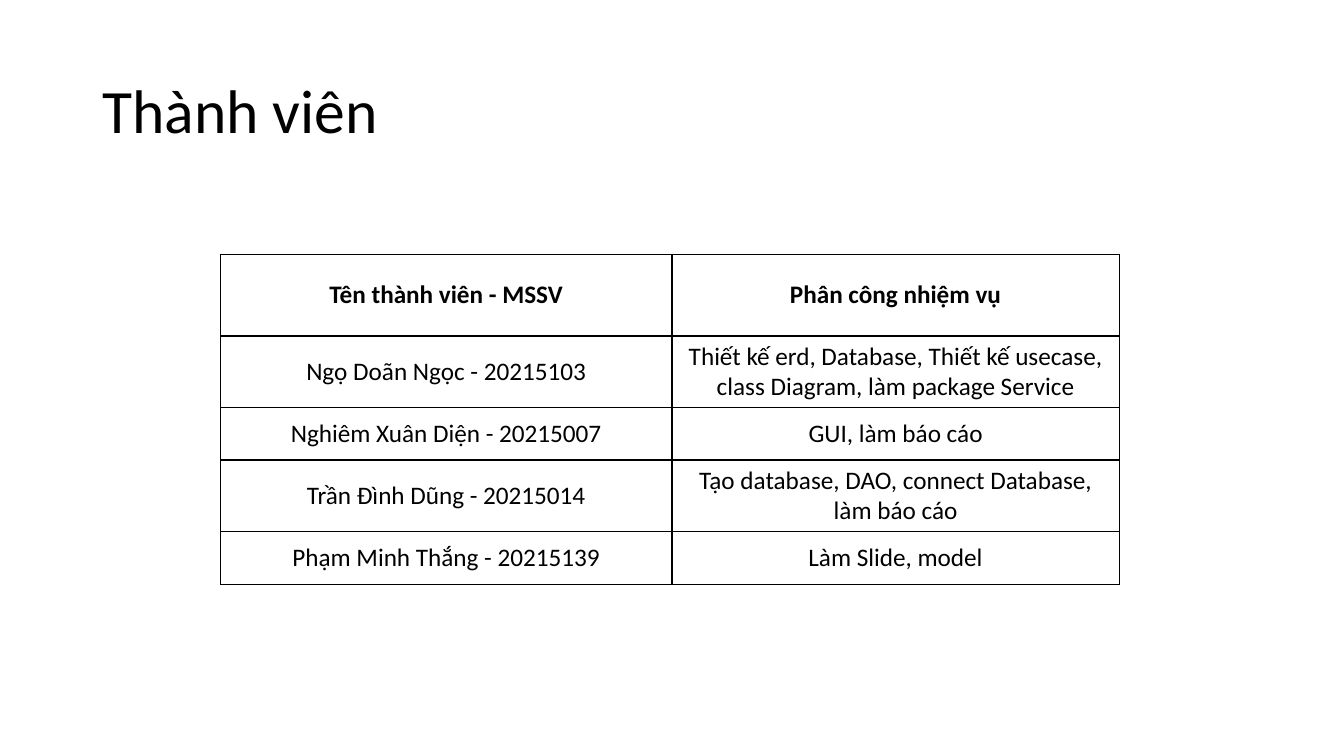
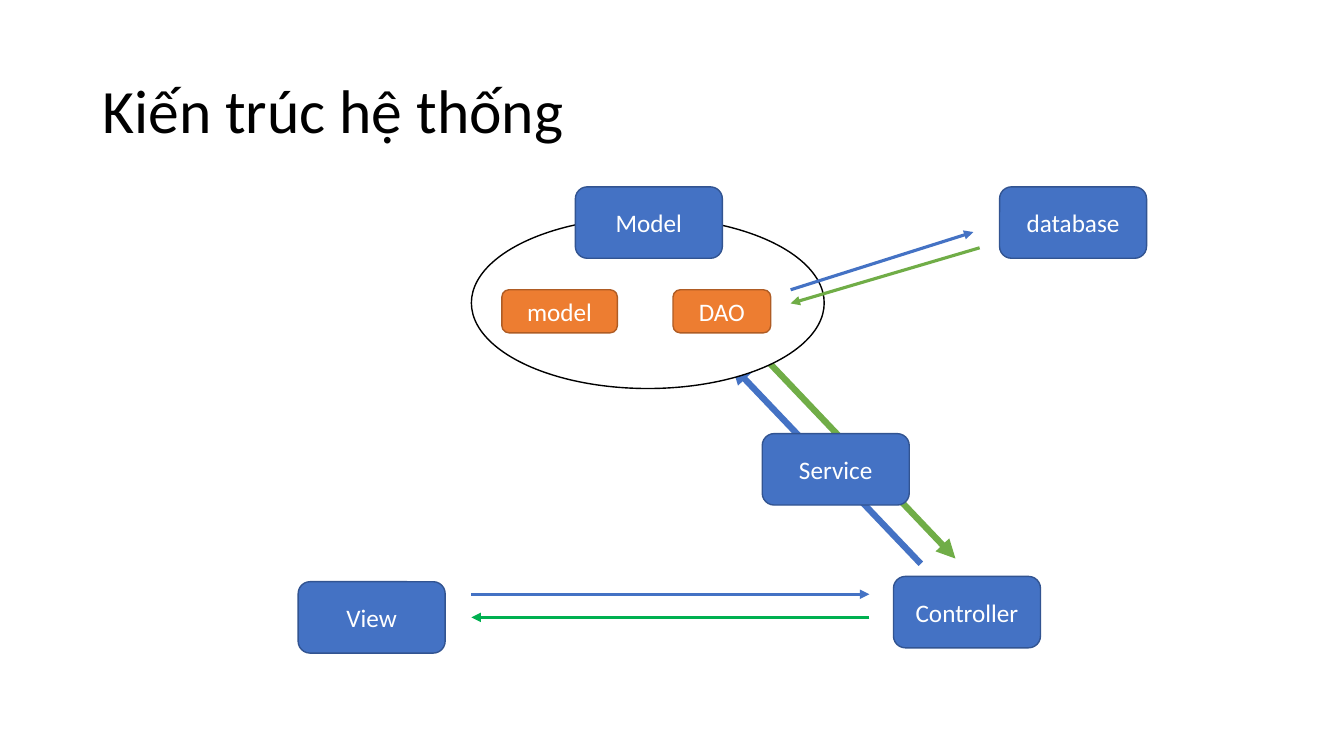
from dataclasses import dataclass

from lxml.etree import SubElement
from pptx import Presentation
from pptx.dml.color import RGBColor
from pptx.enum.shapes import MSO_CONNECTOR, MSO_SHAPE
from pptx.enum.text import MSO_ANCHOR, MSO_AUTO_SIZE, PP_ALIGN
from pptx.oxml import parse_xml
from pptx.oxml.ns import nsdecls, qn
from pptx.util import Inches, Pt

WIDE, HIGH = Inches(13.333), Inches(7.5)
COLS = 64  # square grid: 64 columns by 36 rows


@dataclass(frozen=True)
class Theme:
    font: str = "Calibri"
    head: int = 44
    body: int = 18
    thin: float = 1
    mid: float = 2.25
    thick: float = 4.5
    black: str = "000000"
    white: str = "FFFFFF"
    blue: str = "4472C4"
    navy: str = "325491"
    orange: str = "ED7D31"
    rust: str = "AF5C24"
    green: str = "70AD47"
    leaf: str = "00B050"


T = Theme()
BLOCK = (7, 3.4)

TEAM = [
    ("Tên thành viên - MSSV", "Phân công nhiệm vụ"),
    ("Ngọ Doãn Ngọc - 20215103",
     "Thiết kế erd, Database, Thiết kế usecase, class Diagram, làm package Service"),
    ("Nghiêm Xuân Diện - 20215007", "GUI, làm báo cáo"),
    ("Trần Đình Dũng - 20215014", "Tạo database, DAO, connect Database, làm báo cáo"),
    ("Phạm Minh Thắng - 20215139", "Làm Slide, model"),
]
BLOCKS = [
    ("Model", 27.4, 8.9),
    ("database", 47.6, 8.9),
    ("Controller", 42.55, 27.45),
    ("View", 14.2, 27.7),
    ("Service", 36.3, 20.65),
]
PARTS = [("model", 23.9, 5.5), ("DAO", 32.05, 4.65)]
BACK = [
    ((43.85, 26.85), (34.85, 17.4), T.blue),
    ((35.8, 16.4), (45.5, 26.6), T.green),
]
FRONT = [
    ((37.65, 13.8), (46.35, 11.05), T.blue),
    ((46.65, 11.8), (37.65, 14.45), T.green),
    ((22.45, 28.3), (41.4, 28.3), T.blue),
    ((41.4, 29.4), (22.45, 29.4), T.leaf),
]


def grid(*units):
    return [round(u * WIDE / COLS) for u in units]


def rgb(code):
    return RGBColor.from_string(code)


def write(frame, text, size, color, align=PP_ALIGN.CENTER, bold=False):
    frame.text = text
    frame.word_wrap = True
    para = frame.paragraphs[0]
    para.alignment = align
    font = para.font
    font.name, font.size, font.bold = T.font, Pt(size), bold
    font.color.rgb = rgb(color)
    return para


def add_page(deck, title):
    page = deck.slides.add_slide(deck.slide_layouts[5])
    head = page.shapes.title
    head.left, head.top, head.width, head.height = grid(4.4, 1.92, 55.2, 6.96)
    frame = head.text_frame
    frame.auto_size = MSO_AUTO_SIZE.NONE
    frame.vertical_anchor = MSO_ANCHOR.MIDDLE
    write(frame, title, T.head, T.black, PP_ALIGN.LEFT).line_spacing = 0.9
    return page


def add_edges(cell):
    props = cell._tc.get_or_add_tcPr()
    for spot, side in enumerate("LRTB"):
        props.insert(spot, parse_xml(
            f'<a:ln{side} {nsdecls("a")} w="{Pt(T.thin)}"><a:solidFill>'
            f'<a:srgbClr val="{T.black}"/></a:solidFill></a:ln{side}>'))


def add_grid(page, rows, left, top, cols, tall):
    """Add a ruled table with a bold first row."""
    box = grid(left, top, sum(cols), sum(tall))
    table = page.shapes.add_table(len(rows), len(cols), *box).table
    table.horz_banding = False
    for col, width in zip(table.columns, grid(*cols)):
        col.width = width
    for row, height in zip(table.rows, grid(*tall)):
        row.height = height
    for r, row in enumerate(rows):
        for c, text in enumerate(row):
            cell = table.cell(r, c)
            cell.fill.background()
            cell.vertical_anchor = MSO_ANCHOR.MIDDLE
            write(cell.text_frame, text, T.body, T.black, bold=r == 0)
            add_edges(cell)


def add_form(page, kind, box, fill, line, text=""):
    form = page.shapes.add_shape(kind, *grid(*box))
    form.shadow.inherit = False
    form.fill.solid()
    form.fill.fore_color.rgb = rgb(fill)
    form.line.color.rgb = rgb(line)
    form.line.width = Pt(T.thin)
    if text:
        form.text_frame.vertical_anchor = MSO_ANCHOR.MIDDLE
        write(form.text_frame, text, T.body, T.white)


def add_arrow(page, start, end, color, width):
    arrow = page.shapes.add_connector(MSO_CONNECTOR.STRAIGHT, *grid(*start, *end))
    arrow.line.color.rgb = rgb(color)
    arrow.line.width = Pt(width)
    SubElement(arrow.line._get_or_add_ln(), qn("a:tailEnd"), type="triangle")
    SubElement(arrow._element.spPr, qn("a:effectLst"))


def draw_team(deck):
    page = add_page(deck, "Thành viên")
    add_grid(page, TEAM, 10.5, 12.1, (21.5, 21.3), [3.9] + [2.5] * 4)


def draw_system(deck):
    page = add_page(deck, "Kiến trúc hệ thống")
    for start, end, color in BACK:
        add_arrow(page, start, end, color, T.thick)
    add_form(page, MSO_SHAPE.OVAL, (22.45, 10.35, 16.8, 8.15), T.white, T.black)
    for text, left, top in BLOCKS:
        add_form(page, MSO_SHAPE.ROUNDED_RECTANGLE, (left, top, *BLOCK),
                 T.blue, T.navy, text)
    for text, left, width in PARTS:
        add_form(page, MSO_SHAPE.ROUNDED_RECTANGLE, (left, 13.8, width, 2.05),
                 T.orange, T.rust, text)
    for start, end, color in FRONT:
        add_arrow(page, start, end, color, T.mid)


def main():
    deck = Presentation()
    deck.slide_width, deck.slide_height = WIDE, HIGH
    draw_team(deck)
    draw_system(deck)
    deck.save("out.pptx")


if __name__ == "__main__":
    main()
